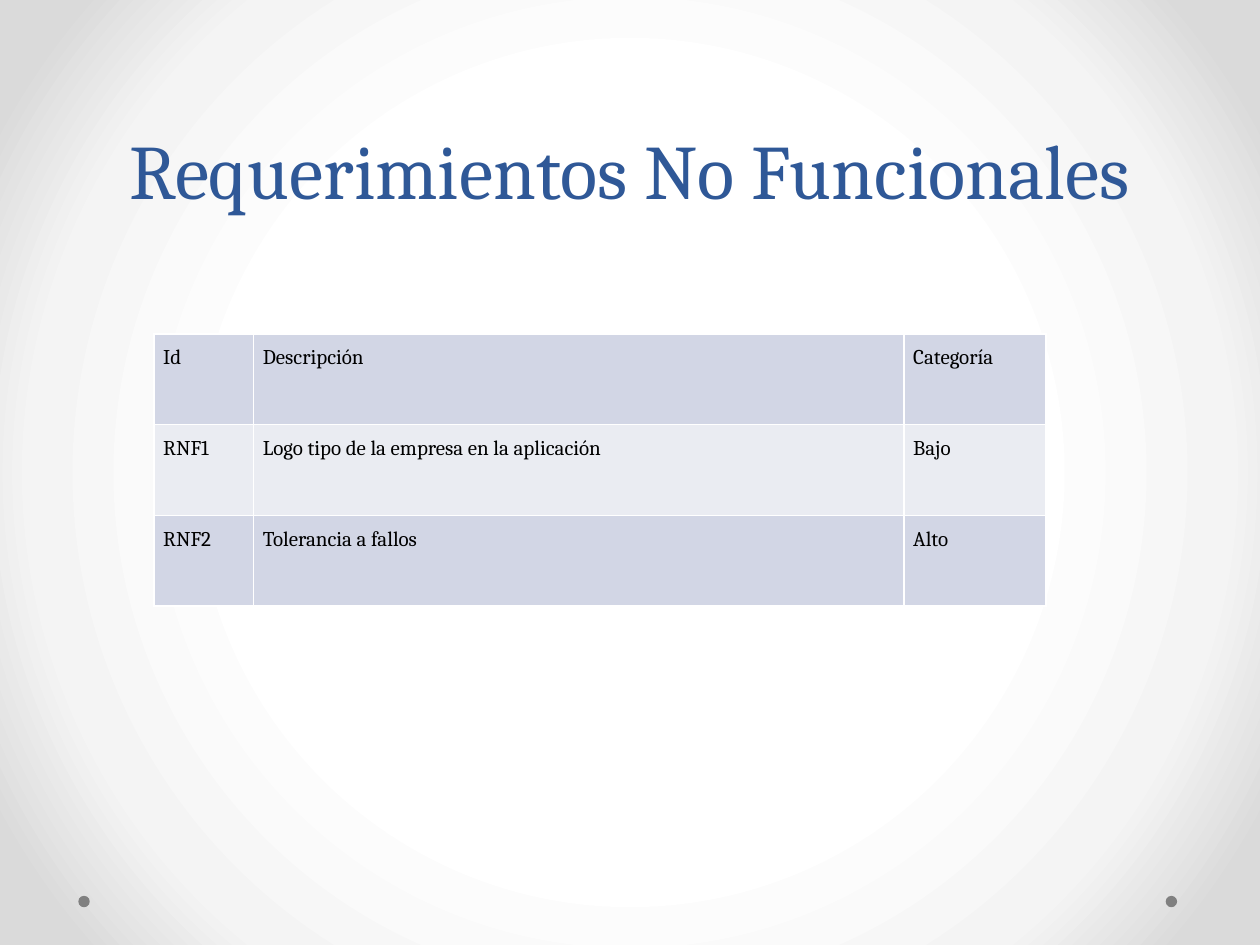
from lxml.etree import SubElement
from pptx import Presentation
from pptx.dml.color import RGBColor
from pptx.enum.shapes import MSO_SHAPE
from pptx.enum.text import MSO_ANCHOR, PP_ALIGN
from pptx.oxml.ns import qn
from pptx.util import Cm, Pt

FONT = "Cambria"
BLUE = RGBColor(0x2F, 0x58, 0x97)
BLACK = RGBColor(0, 0, 0)
GREY = RGBColor(0x80, 0x80, 0x80)
WHITE = RGBColor(0xFF, 0xFF, 0xFF)
BANDS = [RGBColor(0xD2, 0xD6, 0xE5), RGBColor(0xEA, 0xEC, 0xF2)]
GLOW = [(50, WHITE), (76, RGBColor(0xF4, 0xF4, 0xF4)),
        (92, RGBColor(0xDA, 0xDA, 0xDA))]

ROWS = [
    ("Id", "Descripción", "Categoría"),
    ("RNF1", "Logo tipo de la empresa en la aplicación", "Bajo"),
    ("RNF2", "Tolerancia a fallos", "Alto"),
]
COL_WIDTHS = [2.01, 13.11, 2.87]


def add_run(p, text, size, color):
    r = p.add_run()
    r.text = text
    r.font.name = FONT
    r.font.size = Pt(size)
    r.font.color.rgb = color


def add_solid(parent, color):
    fill = SubElement(parent, qn("a:solidFill"))
    SubElement(fill, qn("a:srgbClr"), val=str(color))


def set_background(s):
    s.background.fill.gradient()
    grad = s.element.find(".//" + qn("a:gradFill"))
    for child in list(grad):
        grad.remove(child)
    stops = SubElement(grad, qn("a:gsLst"))
    for pos, color in GLOW:
        gs = SubElement(stops, qn("a:gs"), pos=str(pos * 1000))
        SubElement(gs, qn("a:srgbClr"), val=str(color))
    circle = SubElement(grad, qn("a:path"), path="circle")
    SubElement(circle, qn("a:fillToRect"),
               {side: "50000" for side in "ltrb"})


def add_dots(s, left, top, width, size):
    for x in (left, left + width - size):
        sp = s.shapes.add_shape(MSO_SHAPE.OVAL, Cm(x), Cm(top),
                                Cm(size), Cm(size))
        sp.shadow.inherit = False
        sp.fill.solid()
        sp.fill.fore_color.rgb = GREY
        sp.line.fill.background()


def add_title(s, left, top, width, height, text):
    tf = s.shapes.add_textbox(Cm(left), Cm(top), Cm(width),
                              Cm(height)).text_frame
    tf.word_wrap = True
    tf.vertical_anchor = MSO_ANCHOR.BOTTOM
    p = tf.paragraphs[0]
    p.alignment = PP_ALIGN.CENTER
    p.line_spacing = Pt(58)
    add_run(p, text, 44, BLUE)


def fill_cell(cell, text, color):
    cell.margin_left = cell.margin_right = Cm(0.19)
    cell.margin_top = cell.margin_bottom = 0
    p = cell.text_frame.paragraphs[0]
    p.alignment = PP_ALIGN.JUSTIFY
    p.line_spacing = 1.5
    p.space_after = Pt(8)
    add_run(p, text, 12, BLACK)
    # Borders come before the fill in the cell properties
    tc_pr = cell._tc.get_or_add_tcPr()
    for side in ("L", "R", "T", "B"):
        add_solid(SubElement(tc_pr, qn("a:ln" + side), w=str(Pt(1))), WHITE)
    cell.fill.solid()
    cell.fill.fore_color.rgb = color


def add_requirements(s, left, top, row_height):
    table = s.shapes.add_table(
        len(ROWS), len(COL_WIDTHS), Cm(left), Cm(top),
        Cm(sum(COL_WIDTHS)), Cm(row_height * len(ROWS))).table
    table.first_row = table.horz_banding = False
    for col, width in zip(table.columns, COL_WIDTHS):
        col.width = Cm(width)
    for i, texts in enumerate(ROWS):
        table.rows[i].height = Cm(row_height)
        for j, text in enumerate(texts):
            fill_cell(table.cell(i, j), text, BANDS[i % 2])


prs = Presentation()
prs.slide_width, prs.slide_height = Cm(25.4), Cm(19.05)
s = prs.slides.add_slide(prs.slide_layouts[6])

# Backdrop
set_background(s)
add_dots(s, 1.58, 18.06, 22.15, 0.23)

# Content
add_title(s, 1.27, 0, 22.86, 4.45, "Requerimientos No Funcionales")
add_requirements(s, 3.1, 6.73, 1.83)

prs.save("out.pptx")
